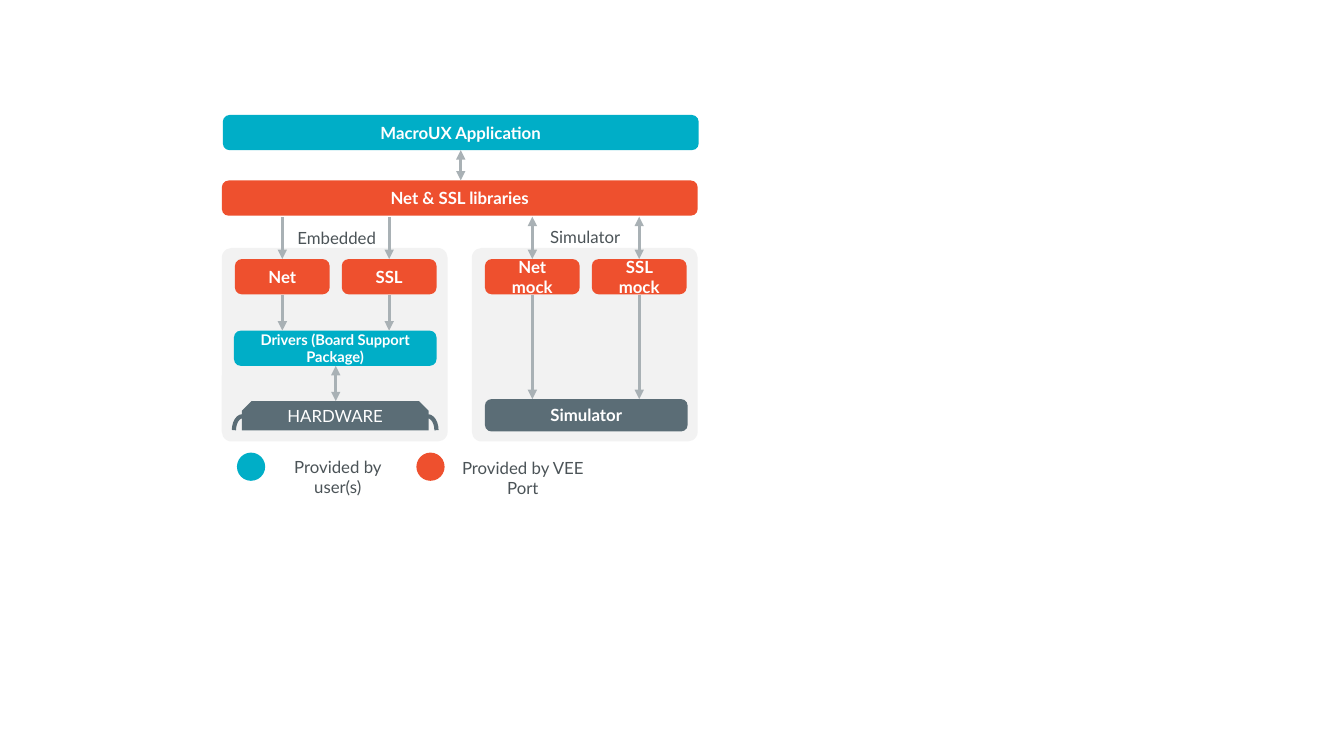
"""Build the network stack slide."""
from dataclasses import dataclass

from lxml import etree
from pptx import Presentation
from pptx.dml.color import RGBColor
from pptx.enum.shapes import MSO_CONNECTOR, MSO_SHAPE
from pptx.enum.text import MSO_ANCHOR, PP_ALIGN
from pptx.oxml.ns import qn
from pptx.util import Inches, Pt

ROUND = MSO_SHAPE.ROUNDED_RECTANGLE
SNIP = MSO_SHAPE.SNIP_2_SAME_RECTANGLE
ARC = MSO_SHAPE.ARC
LINE = MSO_CONNECTOR.STRAIGHT
MIDDLE, TOP = MSO_ANCHOR.MIDDLE, MSO_ANCHOR.TOP
CENTER = PP_ALIGN.CENTER

BLUE, RED, SLATE = "00AEC7", "EE502E", "5B6D76"
PANEL, ARROW, INK, WHITE = "F2F2F2", "A9B1B5", "4B5357", "FFFFFF"
FONT = "Lato"


@dataclass
class Box:
    """A filled shape with optional text."""
    left: float
    top: float
    width: float
    height: float
    fill: str
    text: str = ""
    size: float = 12
    bold: bool = True
    side: float = 0.1
    head: float = 0.04
    kind: int = ROUND
    bends: tuple = (0.196,)


@dataclass
class Arrow:
    """A line pointing at its start, and at its end when both is set."""
    start: tuple
    end: tuple
    both: bool = False


@dataclass
class Label:
    """A caption without a fill."""
    left: float
    top: float
    width: float
    text: str


def color(value: str) -> RGBColor:
    """Turn a hex string into a colour."""
    return RGBColor.from_string(value)


def write(shape, text: str, size: float, ink: str, bold: bool,
          pads: tuple, anchor) -> None:
    """Put centred text into a shape."""
    frame = shape.text_frame
    frame.word_wrap = True
    frame.vertical_anchor = anchor
    frame.margin_left = frame.margin_right = Inches(pads[0])
    frame.margin_top, frame.margin_bottom = Inches(pads[1]), Inches(pads[2])
    para = frame.paragraphs[0]
    para.text = text
    para.alignment = CENTER
    font = para.font
    font.name, font.size, font.bold = FONT, Pt(size), bold
    font.color.rgb = color(ink)


def draw_box(shapes, box: Box) -> None:
    """Draw one filled box."""
    shape = shapes.add_shape(box.kind, Inches(box.left), Inches(box.top),
                             Inches(box.width), Inches(box.height))
    shape.shadow.inherit = False
    for i, bend in enumerate(box.bends):
        shape.adjustments[i] = bend
    shape.fill.solid()
    shape.fill.fore_color.rgb = color(box.fill)
    shape.line.fill.background()
    if box.text:
        write(shape, box.text, box.size, WHITE, box.bold,
              (box.side, box.head, 0.04), MIDDLE)


def draw_arc(shapes, left: float, bends: tuple) -> None:
    """Draw one curved pin of the hardware chip."""
    shape = shapes.add_shape(ARC, Inches(left), Inches(4.13),
                             Inches(0.17), Inches(0.28))
    shape.shadow.inherit = False
    for i, bend in enumerate(bends):
        shape.adjustments[i] = bend
    shape.fill.background()
    shape.line.color.rgb = color(SLATE)
    shape.line.width = Pt(3)


def draw_arrow(shapes, arrow: Arrow) -> None:
    """Draw one grey arrow."""
    line = shapes.add_connector(LINE, *map(Inches, arrow.start + arrow.end))
    line.line.color.rgb = color(ARROW)
    line.line.width = Pt(2.25)
    props = line.line._get_or_add_ln()
    for tag in ("a:headEnd", "a:tailEnd")[:1 + arrow.both]:
        etree.SubElement(props, qn(tag)).set("type", "triangle")
    etree.SubElement(line._element.spPr, qn("a:effectLst"))


def draw_label(shapes, label: Label) -> None:
    """Draw one caption."""
    shape = shapes.add_textbox(Inches(label.left), Inches(label.top),
                               Inches(label.width), Inches(0.3))
    write(shape, label.text, 12, INK, False, (0.12, 0.05, 0.05), TOP)


PANELS = [Box(x, 2.46, 2.24, 1.92, PANEL, bends=(0.051,))
          for x in (4.68, 2.2)]
PARTS = {"Net": 2.8, "SSL": 3.86, "Net mock": 5.28, "SSL mock": 6.34}
BOXES = [
    Box(2.21, 1.14, 4.72, 0.35, BLUE, "MacroUX Application"),
    Box(2.2, 1.79, 4.72, 0.35, RED, "Net & SSL libraries"),
    *(Box(mid - 0.47, 2.57, 0.94, 0.35, RED, name)
      for name, mid in PARTS.items()),
    Box(2.32, 3.28, 2.01, 0.35, BLUE, "Drivers (Board Support Package)",
        size=10.5, side=0),
    Box(4.81, 3.96, 2.01, 0.32, SLATE, "Simulator"),
]
CHIP = Box(2.4, 3.98, 1.85, 0.29, SLATE, "HARDWARE", bold=False, head=0,
           kind=SNIP, bends=(0.321, 0))
PINS = {4.16: (162, 215.12), 2.32: (108.88, 162)}
ARROWS = [Arrow((4.57, 1.79), (4.57, 1.49), True)]
for name, mid in PARTS.items():
    mock = "mock" in name
    ARROWS += [Arrow((mid, 2.57), (mid, 2.15), mock),
               Arrow((mid, 3.96 if mock else 3.28), (mid, 2.93))]
ARROWS.append(Arrow((3.33, 3.98), (3.33, 3.63), True))
LABELS = [
    Label(2.57, 4.48, 1.56, "Provided by user(s)"),
    Label(4.34, 4.49, 1.69, "Provided by VEE Port"),
    Label(2.82, 2.21, 1.04, "Embedded"),
    Label(5.32, 2.2, 0.97, "Simulator"),
]
DOTS = [Box(x, 4.49, 0.28, 0.28, fill, bends=(0.5,))
        for x, fill in ((2.35, BLUE), (4.13, RED))]


def main() -> None:
    """Draw the slide and save it."""
    deck = Presentation()
    deck.slide_width, deck.slide_height = Inches(13.33), Inches(7.5)
    shapes = deck.slides.add_slide(deck.slide_layouts[6]).shapes
    for box in PANELS + BOXES:
        draw_box(shapes, box)
    chip = shapes.add_group_shape().shapes
    draw_box(chip, CHIP)
    for left, bends in PINS.items():
        draw_arc(chip, left, bends)
    for arrow in ARROWS:
        draw_arrow(shapes, arrow)
    for label in LABELS:
        draw_label(shapes, label)
    for dot in DOTS:
        draw_box(shapes, dot)
    deck.save("out.pptx")


if __name__ == "__main__":
    main()
